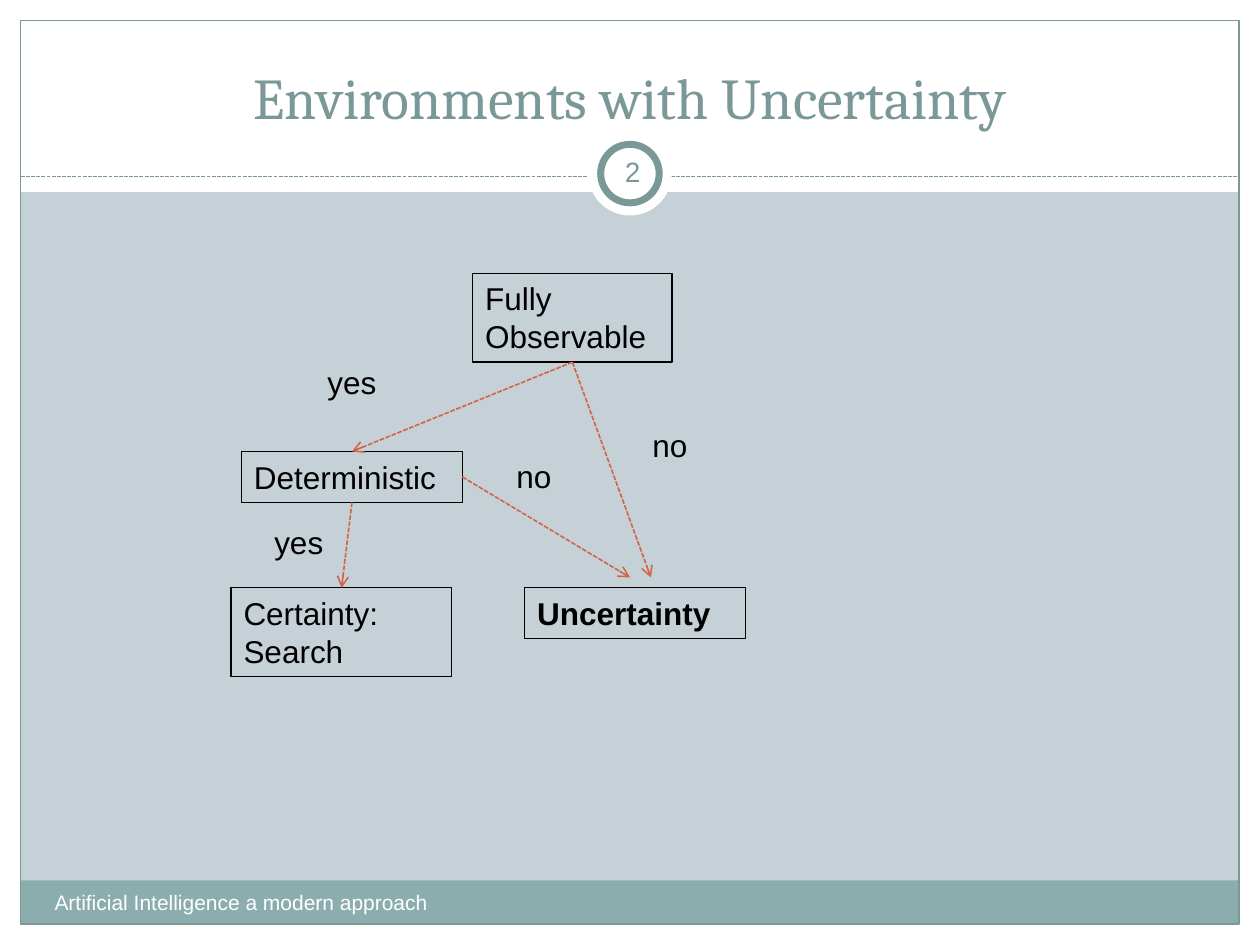
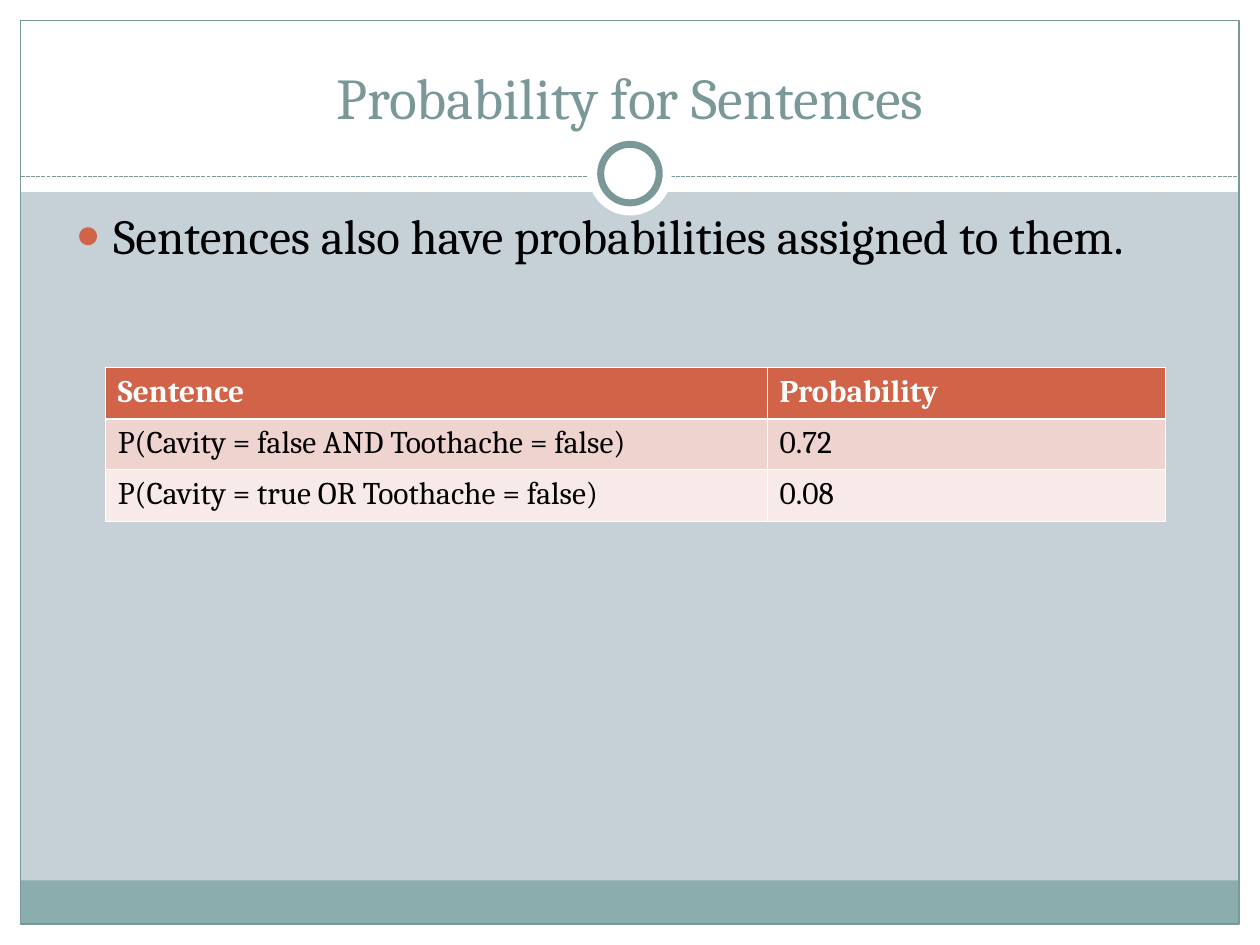
from dataclasses import dataclass
from typing import NamedTuple

from lxml import etree
from pptx import Presentation, oxml, slide as sl
from pptx import util as u
from pptx.dml import color
from pptx.enum import dml, shapes, text
from pptx.oxml import ns


@dataclass(frozen=True)
class Theme:
    ground: str = "C5D1D7"
    teal: str = "7B9899"
    band: str = "8CADAE"
    accent: str = "D16349"
    white: str = "FFFFFF"
    ink: str = "000000"
    row_fills: tuple[str, ...] = ("D16349", "EED3CF", "F7EAE9")
    serif: str = "Cambria"
    sans: str = "Arial"
    title_size: float = 33
    bullet_size: float = 28
    body_size: float = 18
    number_size: float = 16
    footer_size: float = 12
    thin: float = 0.75
    arrow: float = 0.91
    ring: float = 4
    cell_line: float = 0.45
    header_line: float = 1.47


class Point(NamedTuple):
    x: float
    y: float


class Box(NamedTuple):
    """Left, top, width and height in centimetres."""
    x: float
    y: float
    w: float
    h: float

    def cm(self) -> list[u.Length]:
        return [u.Cm(side) for side in self]

    @property
    def top(self) -> Point:
        return Point(self.x + self.w / 2, self.y)

    @property
    def bottom(self) -> Point:
        return Point(self.x + self.w / 2, self.y + self.h)

    @property
    def right(self) -> Point:
        return Point(self.x + self.w, self.y + self.h / 2)


class Style(NamedTuple):
    size: float
    font: str
    color: str
    bold: bool = False


class Node(NamedTuple):
    words: str
    box: Box
    bold: bool = False


class Label(NamedTuple):
    words: str
    box: Box


class Link(NamedTuple):
    start: Point
    end: Point


THEME = Theme()
WIDTH, HEIGHT, MARGIN = 25.4, 19.05, 0.42
INNER_WIDTH = WIDTH - 2 * MARGIN
BADGE = Point(WIDTH / 2, 3.5)
TITLE_BOX = Box(0.85, 0.64, 23.7, 2.12)

# Decision diagram
OBSERVABLE = Node("Fully Observable", Box(9.53, 5.51, 4.02, 1.79))
DETERMINISTIC = Node("Deterministic", Box(4.87, 9.1, 4.45, 1.03))
CERTAINTY = Node("Certainty: Search", Box(4.66, 11.85, 4.45, 1.79))
UNCERTAINTY = Node("Uncertainty", Box(10.58, 11.85, 4.45, 1.03), bold=True)
NODES = (OBSERVABLE, DETERMINISTIC, CERTAINTY, UNCERTAINTY)
LINKS = (
    Link(OBSERVABLE.box.bottom, DETERMINISTIC.box.top),
    Link(DETERMINISTIC.box.bottom, CERTAINTY.box.top),
    Link(DETERMINISTIC.box.right, Point(12.7, 11.64)),
    Link(OBSERVABLE.box.bottom, Point(13.12, 11.64)),
)
LABELS = (
    Label("no", Box(12.9, 8.46, 1.47, 1.02)),
    Label("yes", Box(6.35, 7.19, 2.34, 1.02)),
    Label("yes", Box(5.28, 10.41, 2.34, 1.02)),
    Label("no", Box(10.16, 9.09, 1.47, 1.02)),
)

# Probability table
PROBABILITIES = (
    ("Sentence", "Probability"),
    ("P(Cavity = false AND Toothache = false)", "0.72"),
    ("P(Cavity = true OR Toothache = false)", "0.08"),
)
COLUMN_WIDTHS = (13.34, 8.04)
ROW_HEIGHT = 1.03


def rgb(value: str) -> color.RGBColor:
    return color.RGBColor.from_string(value)


def sub(parent, tag: str, **attributes: str):
    return etree.SubElement(parent, ns.qn(tag), attributes)


def write(frame, words: str, style: Style, align=text.PP_ALIGN.LEFT,
          anchor=text.MSO_ANCHOR.TOP) -> None:
    frame.word_wrap = True
    frame.auto_size = text.MSO_AUTO_SIZE.NONE
    frame.vertical_anchor = anchor
    paragraph = frame.paragraphs[0]
    paragraph.alignment = align
    paragraph.space_before = u.Pt(0)
    run = paragraph.add_run()
    run.text = words
    run.font.size = u.Pt(style.size)
    run.font.name = style.font
    run.font.bold = style.bold
    run.font.color.rgb = rgb(style.color)


def add_shape(slide: sl.Slide, box: Box, fill: str | None = None,
              line: str | None = None, weight: float = THEME.thin,
              kind=shapes.MSO_SHAPE.RECTANGLE):
    shape = slide.shapes.add_shape(kind, *box.cm())
    shape.shadow.inherit = False
    if fill:
        shape.fill.solid()
        shape.fill.fore_color.rgb = rgb(fill)
    else:
        shape.fill.background()
    if line:
        shape.line.color.rgb = rgb(line)
        shape.line.width = u.Pt(weight)
    else:
        shape.line.fill.background()
    return shape


def add_dashed(slide: sl.Slide, link: Link, line: str, weight: float,
               arrow: bool = False):
    dashed = slide.shapes.add_connector(
        shapes.MSO_CONNECTOR.STRAIGHT,
        *(u.Cm(value) for value in (*link.start, *link.end)))
    dashed.line.color.rgb = rgb(line)
    dashed.line.width = u.Pt(weight)
    dashed.line.dash_style = dml.MSO_LINE.SQUARE_DOT
    properties = dashed.element.spPr
    if arrow:
        sub(properties.find(ns.qn("a:ln")), "a:tailEnd", type="arrow")
    sub(properties, "a:effectLst")
    return dashed


def add_text(slide: sl.Slide, box: Box, words: str, style: Style, **layout):
    frame = slide.shapes.add_textbox(*box.cm()).text_frame
    write(frame, words, style, **layout)
    return frame


def place(shape, box: Box) -> None:
    shape.left, shape.top, shape.width, shape.height = box.cm()


def add_badge_circle(slide: sl.Slide, size: float, line: str | None = None):
    box = Box(BADGE.x - size / 2, BADGE.y - size / 2, size, size)
    return add_shape(slide, box, THEME.white, line, THEME.ring,
                     shapes.MSO_SHAPE.OVAL)


def frame_master(slide: sl.Slide, master: sl.SlideMaster) -> None:
    """Draw the shared frame and move it to the back of the master."""
    master.background.fill.solid()
    master.background.fill.fore_color.rgb = rgb(THEME.ground)
    edges = (
        Box(0, HEIGHT - MARGIN, WIDTH, MARGIN),
        Box(0, 0, WIDTH, 3.87),
        Box(0, 0, MARGIN, HEIGHT),
        Box(WIDTH - MARGIN, 0, MARGIN, HEIGHT),
    )
    rule = Link(Point(MARGIN, 3.56), Point(WIDTH - MARGIN, 3.56))
    parts = [add_shape(slide, edge, THEME.white) for edge in edges]
    parts += [
        add_shape(slide, Box(MARGIN, 17.75, INNER_WIDTH, 0.87), THEME.band),
        add_shape(slide, Box(MARGIN, MARGIN, INNER_WIDTH, HEIGHT - 2 * MARGIN),
                  line=THEME.teal),
        add_dashed(slide, rule, THEME.teal, THEME.thin),
        add_badge_circle(slide, 1.69),
        add_badge_circle(slide, 1.18, THEME.teal),
    ]
    tree = master.shapes.element
    for position, part in enumerate(parts, start=2):
        tree.insert(position, part.element)


def add_slide(deck, layout: int, title: str) -> sl.Slide:
    slide = deck.slides.add_slide(deck.slide_layouts[layout])
    place(slide.shapes.title, TITLE_BOX)
    write(slide.shapes.title.text_frame, title,
          Style(THEME.title_size, THEME.serif, THEME.teal),
          text.PP_ALIGN.CENTER, text.MSO_ANCHOR.BOTTOM)
    return slide


def draw_diagram(slide: sl.Slide) -> None:
    # Footer and slide number
    add_text(slide, Box(0.85, 17.8, 9.95, 1.02),
             "Artificial Intelligence a modern approach",
             Style(THEME.footer_size, THEME.sans, THEME.white))
    number = add_text(slide, Box(12.12, 2.85, 1.27, 1.22), "2",
                      Style(THEME.number_size, THEME.sans, THEME.teal),
                      align=text.PP_ALIGN.CENTER,
                      anchor=text.MSO_ANCHOR.MIDDLE)
    number.margin_left = number.margin_right = u.Cm(0.13)

    # Nodes, arrows and their answers
    plain = Style(THEME.body_size, THEME.sans, THEME.ink)
    for node in NODES:
        shape = add_shape(slide, node.box, line=THEME.ink)
        write(shape.text_frame, node.words, plain._replace(bold=node.bold))
    for link in LINKS:
        add_dashed(slide, link, THEME.accent, THEME.arrow, arrow=True)
    for label in LABELS:
        add_text(slide, label.box, label.words, plain)


def write_bullet(body, words: str) -> None:
    place(body, Box(1.27, 4.24, 22.86, 13.5))
    paragraph = body.text_frame.paragraphs[0]
    properties = paragraph._p.get_or_add_pPr()
    properties.set("marL", str(u.Cm(0.76)))
    properties.set("indent", str(-u.Cm(0.76)))
    sub(sub(properties, "a:buClr"), "a:srgbClr", val=THEME.accent)
    sub(properties, "a:buSzPct", val="85000")
    sub(properties, "a:buChar", char="●")
    paragraph.line_spacing = 0.8
    write(body.text_frame, words,
          Style(THEME.bullet_size, THEME.serif, THEME.ink))


def set_borders(cell, top: float, bottom: float) -> None:
    properties = cell._tc.get_or_add_tcPr()
    sides = {"L": THEME.cell_line, "R": THEME.cell_line, "T": top, "B": bottom}
    for position, (side, weight) in enumerate(sides.items()):
        border = oxml.parse_xml(
            f'<a:ln{side} {ns.nsdecls("a")} w="{u.Pt(weight)}"><a:solidFill>'
            f'<a:srgbClr val="{THEME.white}"/></a:solidFill></a:ln{side}>')
        properties.insert(position, border)


def draw_table(slide: sl.Slide) -> None:
    box = Box(2.12, 7.41, sum(COLUMN_WIDTHS), ROW_HEIGHT * len(PROBABILITIES))
    table = slide.shapes.add_table(
        len(PROBABILITIES), len(COLUMN_WIDTHS), *box.cm()).table
    for column, width in zip(table.columns, COLUMN_WIDTHS):
        column.width = u.Cm(width)
    for r, (row, fill) in enumerate(zip(PROBABILITIES, THEME.row_fills)):
        header = r == 0
        ink = THEME.white if header else THEME.ink
        style = Style(THEME.body_size, THEME.serif, ink, header)
        for c, words in enumerate(row):
            cell = table.cell(r, c)
            write_cell = cell.text_frame
            write(write_cell, words, style)
            cell.fill.solid()
            cell.fill.fore_color.rgb = rgb(fill)
            set_borders(cell,
                        THEME.header_line if r == 1 else THEME.cell_line,
                        THEME.header_line if header else THEME.cell_line)


def main() -> None:
    deck = Presentation()
    deck.slide_width, deck.slide_height = u.Cm(WIDTH), u.Cm(HEIGHT)

    environments = add_slide(deck, 5, "Environments with Uncertainty")
    frame_master(environments, deck.slide_master)
    draw_diagram(environments)

    sentences = add_slide(deck, 1, "Probability for Sentences")
    write_bullet(sentences.placeholders[1],
                 "Sentences also have probabilities assigned to them.")
    draw_table(sentences)

    deck.save("out.pptx")


if __name__ == "__main__":
    main()
